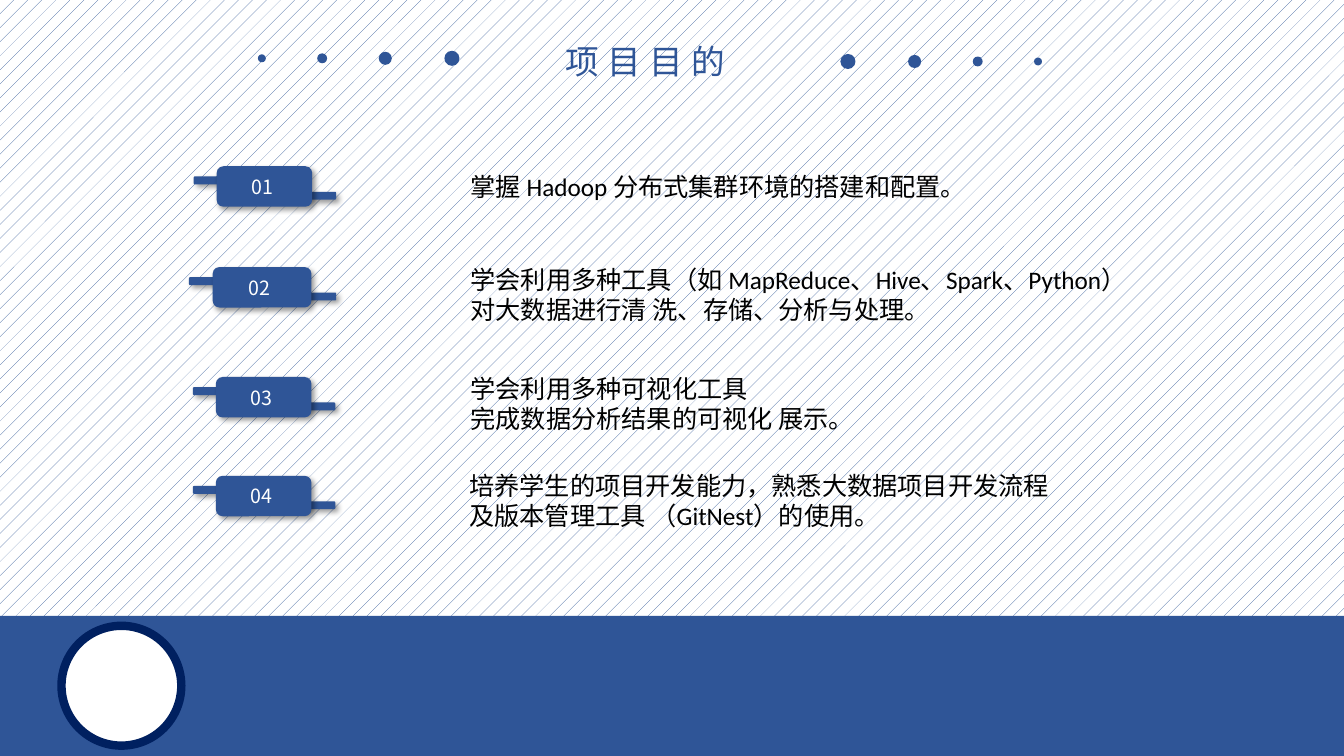
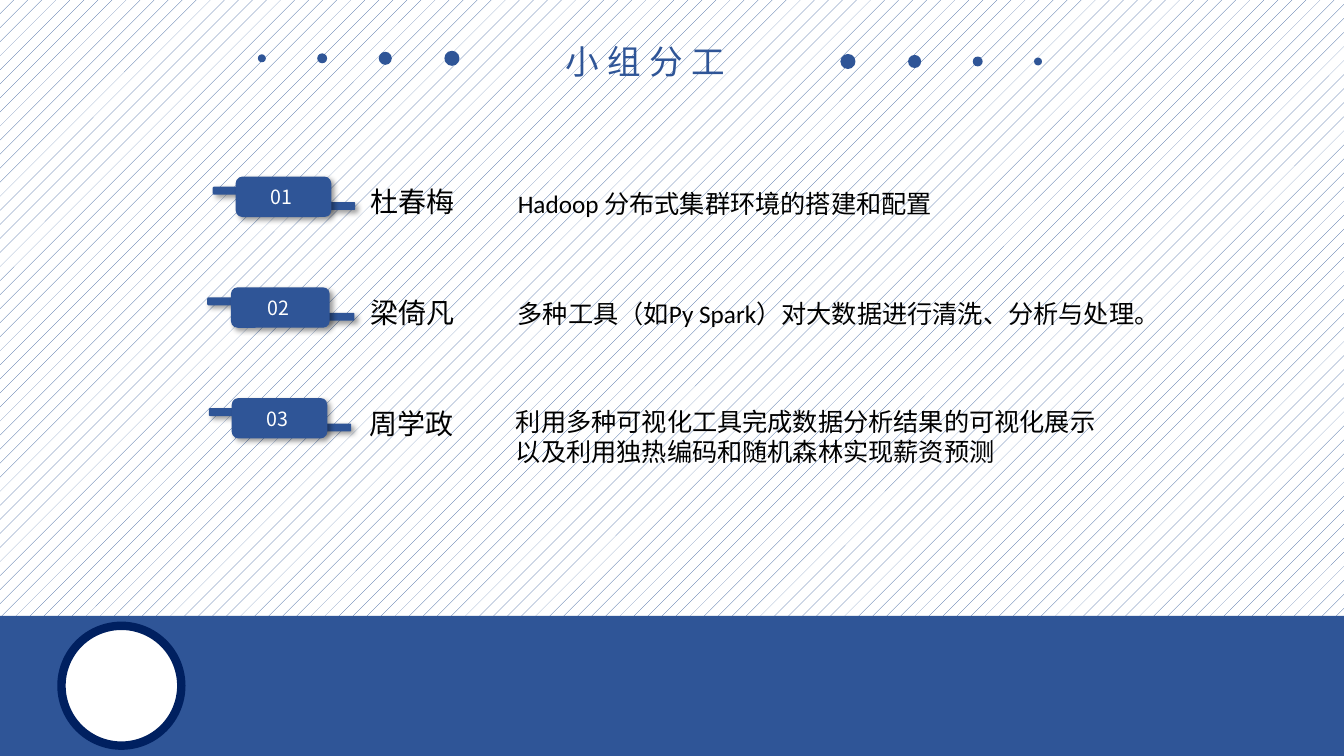
from lxml import etree
from pptx import Presentation
from pptx import util as u
from pptx.dml.color import RGBColor
from pptx.enum import dml, shapes, text
from pptx.oxml import ns

COLORS = {"blue": "2F5597", "navy": "002060", "white": "FFFFFF", "black": "000000"}
FONTS = {"title": "Noto Sans CJK JP", "number": "Noto Sans CJK SC", "body": "Calibri"}
KIND = shapes.MSO_SHAPE
WIDTH, HEIGHT = 33.87, 19.05

GOALS = [
    ((5.46, 4.19, 2.41, 1.02), (11.61, 4.19, 13.4, 1.02),
     ["掌握 Hadoop 分布式集群环境的搭建和配置。"]),
    ((5.36, 6.73, 2.49, 1.02), (11.61, 6.53, 17.22, 1.8),
     ["学会利用多种工具（如 MapReduce、Hive、Spark、Python）",
      "对大数据进行清 洗、存储、分析与处理。"]),
    ((5.44, 9.5, 2.41, 1.02), (11.61, 9.27, 11, 1.8),
     ["学会利用多种可视化工具", "完成数据分析结果的可视化 展示。"]),
    ((5.44, 11.99, 2.41, 1.02), (11.58, 11.73, 15.5, 1.8),
     ["培养学生的项目开发能力，熟悉大数据项目开发流程",
      "及版本管理工具 （GitNest）的使用。"]),
]
DUTIES = [
    ((5.94, 4.45, 2.41, 1.02), (12.8, 4.62, 10.95, 1.02),
     ["Hadoop 分布式集群环境的搭建和配置"]),
    ((5.82, 7.24, 2.49, 1.02), (12.8, 7.39, 19.86, 1.02),
     ["多种工具（如Py Spark）对大数据进行清洗、分析与处理。"]),
    ((5.84, 10.03, 2.41, 1.02), (12.75, 10.11, 15.4, 1.8),
     ["利用多种可视化工具完成数据分析结果的可视化展示",
      "以及利用独热编码和随机森林实现薪资预测"]),
]
MEMBERS = [
    ("杜春梅", (9.09, 4.52, 2.87, 1.12)),
    ("梁倚凡", (9.09, 7.32, 2.87, 1.12)),
    ("周学政", (9.07, 10.11, 2.87, 1.12)),
]


def rgb(name):
    """Return the named colour."""
    return RGBColor.from_string(COLORS[name])


def cm_box(box):
    """Turn left, top, width and height into lengths."""
    return [u.Cm(length) for length in box]


def write(frame, lines, font="body", size=18, color="black", spacing=None,
          align=text.PP_ALIGN.LEFT, anchor=text.MSO_ANCHOR.TOP):
    """Fill a text frame with one paragraph for each line."""
    frame.word_wrap = True
    frame.vertical_anchor = anchor
    for index, line in enumerate(lines):
        paragraph = frame.add_paragraph() if index else frame.paragraphs[0]
        paragraph.alignment = align
        run = paragraph.add_run()
        run.text = line
        run.font.name = FONTS[font]
        run.font.size = u.Pt(size)
        run.font.color.rgb = rgb(color)
        properties = run.font._element
        etree.SubElement(properties, ns.qn("a:ea"), typeface=FONTS[font])
        if spacing:
            properties.set("spc", str(spacing * 100))


def add_text(slide, box, lines, **style):
    """Add a text box."""
    write(slide.shapes.add_textbox(*cm_box(box)).text_frame, lines, **style)


def add_solid(parent, kind, box, fill="blue", line=None, line_width=6):
    """Add a flat shape to a slide or group."""
    solid = parent.shapes.add_shape(kind, *cm_box(box))
    solid.shadow.inherit = False
    solid.fill.solid()
    solid.fill.fore_color.rgb = rgb(fill)
    if line:
        solid.line.color.rgb = rgb(line)
        solid.line.width = u.Pt(line_width)
    else:
        solid.line.fill.background()
    return solid


def cast_shadow(solid):
    """Give a shape a soft shadow to the lower right."""
    effects = solid._element.spPr.find(ns.qn("a:effectLst"))
    shadow = etree.SubElement(effects, ns.qn("a:outerShdw"), blurRad=str(u.Pt(4)),
                              dist=str(u.Pt(3)), dir="2700000", algn="tl",
                              rotWithShape="0")
    tint = etree.SubElement(shadow, ns.qn("a:srgbClr"), val=COLORS["black"])
    etree.SubElement(tint, ns.qn("a:alpha"), val="40000")


def add_dots(slide, axis=16.38):
    """Place rows of growing dots on both sides of the title."""
    for side, middle in ((-1, 1.47), (1, 1.55)):
        row = slide.shapes.add_group_shape()
        for offset, size in ((9.78, 0.2), (8.26, 0.25), (6.67, 0.33), (4.99, 0.38)):
            left = axis + side * offset - size / 2
            add_solid(row, KIND.OVAL, (left, middle - size / 2, size, size))


def add_footer(slide, box):
    """Draw the bottom band with its round emblem."""
    left, top, _, _ = box
    add_solid(slide, KIND.RECTANGLE, box)
    add_solid(slide, KIND.OVAL, (left + 1.55, top + 0.25, 3.02, 3.02),
              fill="white", line="navy")


def add_badge(slide, box, number):
    """Draw a numbered plate with a tab on each side."""
    left, top, width, height = box
    badge = slide.shapes.add_group_shape()
    tabs = [(left + across * width, top + down * height, 0.61 * width, 0.2)
            for across, down in ((0.64, 0.63), (-0.24, 0.25))]
    for part in (*tabs, box):
        plate = add_solid(badge, KIND.ROUNDED_RECTANGLE, part)
        cast_shadow(plate)
    write(plate.text_frame, [f"{number:02d} "], font="number", size=14, color="white",
          align=text.PP_ALIGN.CENTER, anchor=text.MSO_ANCHOR.MIDDLE)


def add_list_slide(deck, title, items):
    """Build a slide with a title and a numbered list."""
    slide = deck.slides.add_slide(deck.slide_layouts[6])
    backdrop = slide.background.fill
    backdrop.patterned()
    backdrop.pattern = dml.MSO_PATTERN.PERCENT_5
    backdrop.fore_color.rgb = rgb("blue")
    backdrop.back_color.rgb = rgb("white")
    add_dots(slide)
    add_text(slide, (14, 0.91, 5.2, 1.27), [title], font="title", size=24,
             color="blue", spacing=6, anchor=text.MSO_ANCHOR.MIDDLE)
    add_footer(slide, (0, 15.52, WIDTH, HEIGHT - 15.52))
    for number, (badge_box, text_box, lines) in enumerate(items, 1):
        add_badge(slide, badge_box, number)
        add_text(slide, text_box, lines)
    return slide


def main():
    """Build and save the presentation."""
    deck = Presentation()
    deck.slide_width, deck.slide_height = u.Cm(WIDTH), u.Cm(HEIGHT)
    add_list_slide(deck, "项目目的", GOALS)
    division = add_list_slide(deck, "小组分工", DUTIES)
    for member, box in MEMBERS:
        add_text(division, box, [member], size=20)
    deck.save("out.pptx")


if __name__ == "__main__":
    main()
